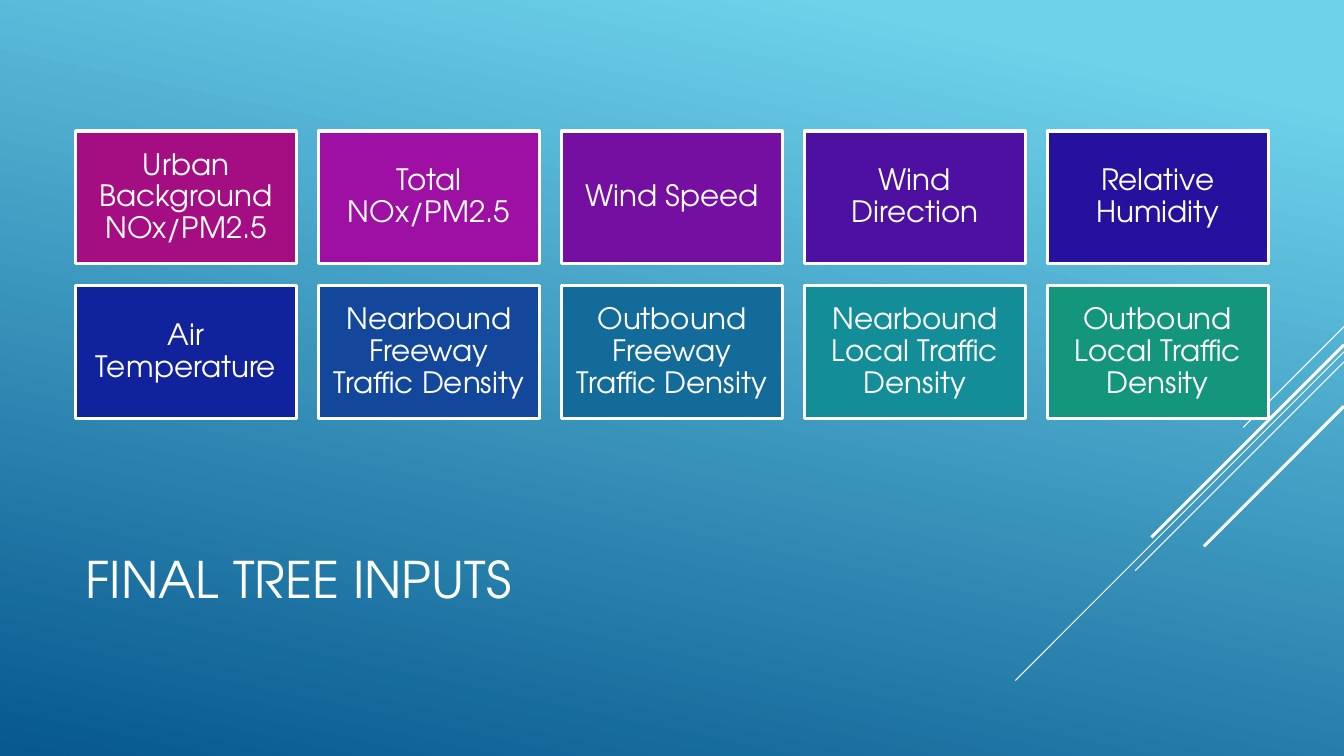
from lxml import etree
from pptx import Presentation
from pptx import util as u
from pptx.dml import color
from pptx.enum import shapes, text
from pptx.oxml import ns

FONT = "TeX Gyre Adventor"
COLORS = {
    "white": "FFFFFF", "sky": "6ED2EB", "deep": "06588E",
    "urban": "A50E82", "total": "9E0FA3", "speed": "740FA2",
    "direction": "4D10A0", "humidity": "26119E", "temperature": "11229D",
    "freeway_in": "12479B", "freeway_out": "136B99",
    "local_in": "138E98", "local_out": "14967C",
}
INPUTS = [
    ("Urban Background NOx/PM2.5", "urban"),
    ("Total NOx/PM2.5", "total"),
    ("Wind Speed", "speed"),
    ("Wind Direction", "direction"),
    ("Relative Humidity", "humidity"),
    ("Air Temperature", "temperature"),
    ("Nearbound Freeway Traffic Density", "freeway_in"),
    ("Outbound Freeway Traffic Density", "freeway_out"),
    ("Nearbound Local Traffic Density", "local_in"),
    ("Outbound Local Traffic Density", "local_out"),
]
STREAKS = [(0, 72, 0.75), (18, 234.7, 0.75), (25.2, 149.2, 0.75),
           (13, 137.5, 2.25), (56.9, 100.1, 2.25)]
COLUMNS = 5


def rgb(name):
    return color.RGBColor.from_string(COLORS[name])


def write(frame, wording, size):
    frame.word_wrap = True
    frame.vertical_anchor = text.MSO_ANCHOR.MIDDLE
    paragraph = frame.paragraphs[0]
    run = paragraph.add_run()
    run.text = wording
    run.font.name = FONT
    run.font.size = u.Pt(size)
    run.font.color.rgb = rgb("white")
    return paragraph


def paint_background(slide):
    fill = slide.background.fill
    fill.gradient()
    fill.gradient_angle = 360 - 102
    for stop, name, position in zip(fill.gradient_stops, ("sky", "deep"), (0.1, 1)):
        stop.color.rgb = rgb(name)
        stop.position = position


def draw_streaks(slide, right, top):
    for drop, reach, weight in STREAKS:
        start = top + drop
        streak = slide.shapes.add_connector(
            shapes.MSO_CONNECTOR.STRAIGHT,
            u.Pt(right), u.Pt(start), u.Pt(right - reach), u.Pt(start + reach))
        streak.line.color.rgb = rgb("white")
        streak.line.width = u.Pt(weight)
        etree.SubElement(streak._element.spPr, ns.qn("a:effectLst"))


def add_title(slide, left, top, width, height):
    title = slide.shapes.add_textbox(u.Pt(left), u.Pt(top), u.Pt(width), u.Pt(height))
    write(title.text_frame, "FINAL TREE INPUTS", 36)


def add_input_grid(slide, left, top, width):
    card_width = width / (COLUMNS + 0.1 * (COLUMNS - 1))
    card_height = 0.6 * card_width
    gap = 0.1 * card_width
    for index, (wording, name) in enumerate(INPUTS):
        row, column = divmod(index, COLUMNS)
        card = slide.shapes.add_shape(
            shapes.MSO_SHAPE.RECTANGLE,
            u.Pt(left + column * (card_width + gap)),
            u.Pt(top + row * (card_height + gap)),
            u.Pt(card_width), u.Pt(card_height))
        card.shadow.inherit = False
        card.fill.solid()
        card.fill.fore_color.rgb = rgb(name)
        card.line.color.rgb = rgb("white")
        card.line.width = u.Pt(2.25)
        frame = card.text_frame
        frame.margin_left = frame.margin_right = u.Pt(6.3)
        frame.margin_top = frame.margin_bottom = u.Pt(6.3)
        label = write(frame, wording, 21)
        label.alignment = text.PP_ALIGN.CENTER
        label.line_spacing = 0.9


def main():
    deck = Presentation()
    deck.slide_width = u.Pt(960)
    deck.slide_height = u.Pt(540)
    slide = deck.slides.add_slide(deck.slide_layouts[6])
    paint_background(slide)
    draw_streaks(slide, 960, 233.3)
    add_title(slide, 54, 353.5, 672, 118.8)
    add_input_grid(slide, 54, 93.6, 851.8)
    deck.save("out.pptx")


if __name__ == "__main__":
    main()
